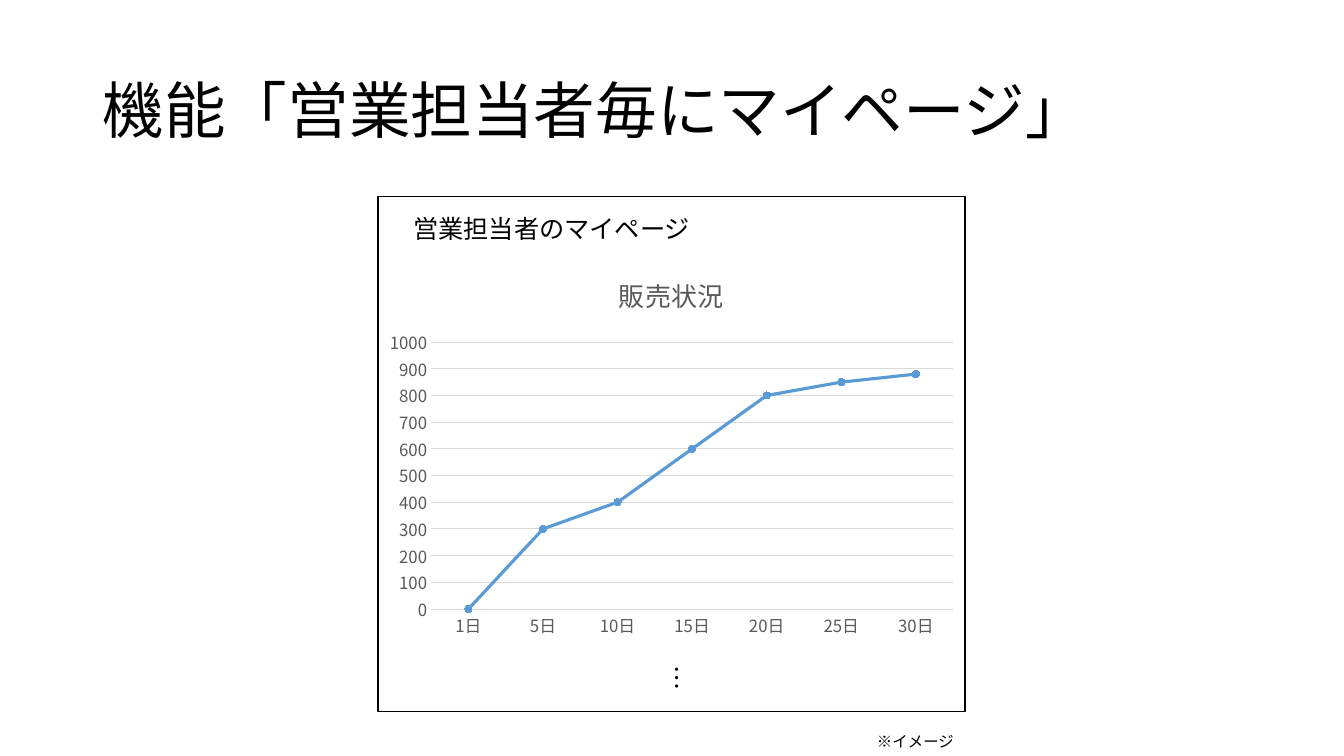
from dataclasses import dataclass

from lxml.etree import SubElement
from pptx import Presentation
from pptx.chart.data import CategoryChartData
from pptx.dml.color import RGBColor
from pptx.enum.chart import XL_CHART_TYPE, XL_MARKER_STYLE, XL_TICK_MARK
from pptx.enum.shapes import MSO_SHAPE
from pptx.enum.text import MSO_ANCHOR
from pptx.oxml.ns import qn
from pptx.slide import Slide
from pptx.text.text import Font
from pptx.util import Inches, Pt

FONT_NAME = "Noto Sans CJK JP"
BLACK = RGBColor(0x00, 0x00, 0x00)
WHITE = RGBColor(0xFF, 0xFF, 0xFF)
GRAY = RGBColor(0x59, 0x59, 0x59)
LIGHT_GRAY = RGBColor(0xD9, 0xD9, 0xD9)
BLUE = RGBColor(0x5B, 0x9B, 0xD5)

PAGE_LEFT = 3.75
PAGE_WIDTH = 5.82
SALES = {
    "1日": 0,
    "5日": 300,
    "10日": 400,
    "15日": 600,
    "20日": 800,
    "25日": 850,
    "30日": 880,
}


@dataclass(frozen=True)
class Box:
    left: float
    top: float
    width: float
    height: float

    def lengths(self) -> tuple[int, int, int, int]:
        return (Inches(self.left), Inches(self.top), Inches(self.width), Inches(self.height))


@dataclass(frozen=True)
class Label:
    text: str
    box: Box
    size: float
    wrap: bool = True
    vertical: bool = False
    anchor: MSO_ANCHOR = MSO_ANCHOR.TOP
    line_spacing: float = 1.0


LABELS = [
    Label("機能「営業担当者毎にマイページ」", Box(0.92, 0.4, 11.5, 1.45), 44,
          anchor=MSO_ANCHOR.MIDDLE, line_spacing=0.9),
    Label("営業担当者のマイページ", Box(4, 2.07, 3.09, 0.4), 18),
    Label("…", Box(6.12, 6.5, 0.8, 0.35), 18, wrap=False, vertical=True),
    Label("※イメージ", Box(8.6, 7.21, 0.97, 0.29), 11, wrap=False),
]


def format_font(font: Font, size: float, color: RGBColor) -> None:
    font.name = FONT_NAME
    font.size = Pt(size)
    font.bold = False
    font.color.rgb = color
    SubElement(font._element, qn("a:ea"), typeface=FONT_NAME)


def add_text(
    slide: Slide,
    text: str,
    *,
    box: Box,
    size: float,
    wrap: bool,
    vertical: bool,
    anchor: MSO_ANCHOR,
    line_spacing: float,
) -> None:
    text_frame = slide.shapes.add_textbox(*box.lengths()).text_frame
    text_frame.word_wrap = wrap
    text_frame.vertical_anchor = anchor
    if vertical:
        text_frame._txBody.bodyPr.set("vert", "eaVert")
    paragraph = text_frame.paragraphs[0]
    paragraph.line_spacing = line_spacing
    run = paragraph.add_run()
    run.text = text
    format_font(run.font, size, BLACK)


def add_label(slide: Slide, label: Label) -> None:
    add_text(
        slide,
        label.text,
        box=label.box,
        size=label.size,
        wrap=label.wrap,
        vertical=label.vertical,
        anchor=label.anchor,
        line_spacing=label.line_spacing,
    )


def add_page_frame(slide: Slide, box: Box) -> None:
    frame = slide.shapes.add_shape(MSO_SHAPE.RECTANGLE, *box.lengths())
    frame.shadow.inherit = False
    frame.fill.solid()
    frame.fill.fore_color.rgb = WHITE
    frame.line.color.rgb = BLACK
    frame.line.width = Pt(1)


def add_sales_chart(slide: Slide, box: Box) -> None:
    chart_data = CategoryChartData()
    chart_data.categories = list(SALES)
    chart_data.add_series("Series 1", list(SALES.values()))
    chart = slide.shapes.add_chart(
        XL_CHART_TYPE.LINE_MARKERS, *box.lengths(), chart_data
    ).chart
    format_font(chart.font, 10, BLACK)
    chart.has_legend = False

    chart.has_title = True
    chart.chart_title.include_in_layout = False
    run = chart.chart_title.text_frame.paragraphs[0].add_run()
    run.text = "販売状況"
    format_font(run.font, 18.6, GRAY)

    for axis in (chart.category_axis, chart.value_axis):
        axis.major_tick_mark = XL_TICK_MARK.NONE
        axis.minor_tick_mark = XL_TICK_MARK.NONE
        format_font(axis.tick_labels.font, 12, GRAY)

    chart.value_axis.minimum_scale = 0
    chart.value_axis.maximum_scale = 1000
    chart.value_axis.major_unit = 100
    chart.value_axis.format.line.fill.background()
    for line in (
        chart.category_axis.format.line,
        chart.value_axis.major_gridlines.format.line,
    ):
        line.color.rgb = LIGHT_GRAY
        line.width = Pt(0.75)

    chart.plots[0].vary_by_categories = False
    series = chart.plots[0].series[0]
    series.smooth = False
    series.format.line.color.rgb = BLUE
    series.format.line.width = Pt(2.25)
    series.marker.style = XL_MARKER_STYLE.CIRCLE
    series.marker.size = 5
    series.marker.format.fill.solid()
    series.marker.format.fill.fore_color.rgb = BLUE
    series.marker.format.line.color.rgb = BLUE


def main() -> None:
    presentation = Presentation()
    presentation.slide_width = Inches(13.33)
    presentation.slide_height = Inches(7.5)
    slide = presentation.slides.add_slide(presentation.slide_layouts[6])
    add_page_frame(slide, Box(PAGE_LEFT, 1.95, PAGE_WIDTH, 5.11))
    add_sales_chart(slide, Box(PAGE_LEFT, 2.53, PAGE_WIDTH, 3.88))
    for label in LABELS:
        add_label(slide, label)
    presentation.save("out.pptx")


if __name__ == "__main__":
    main()
